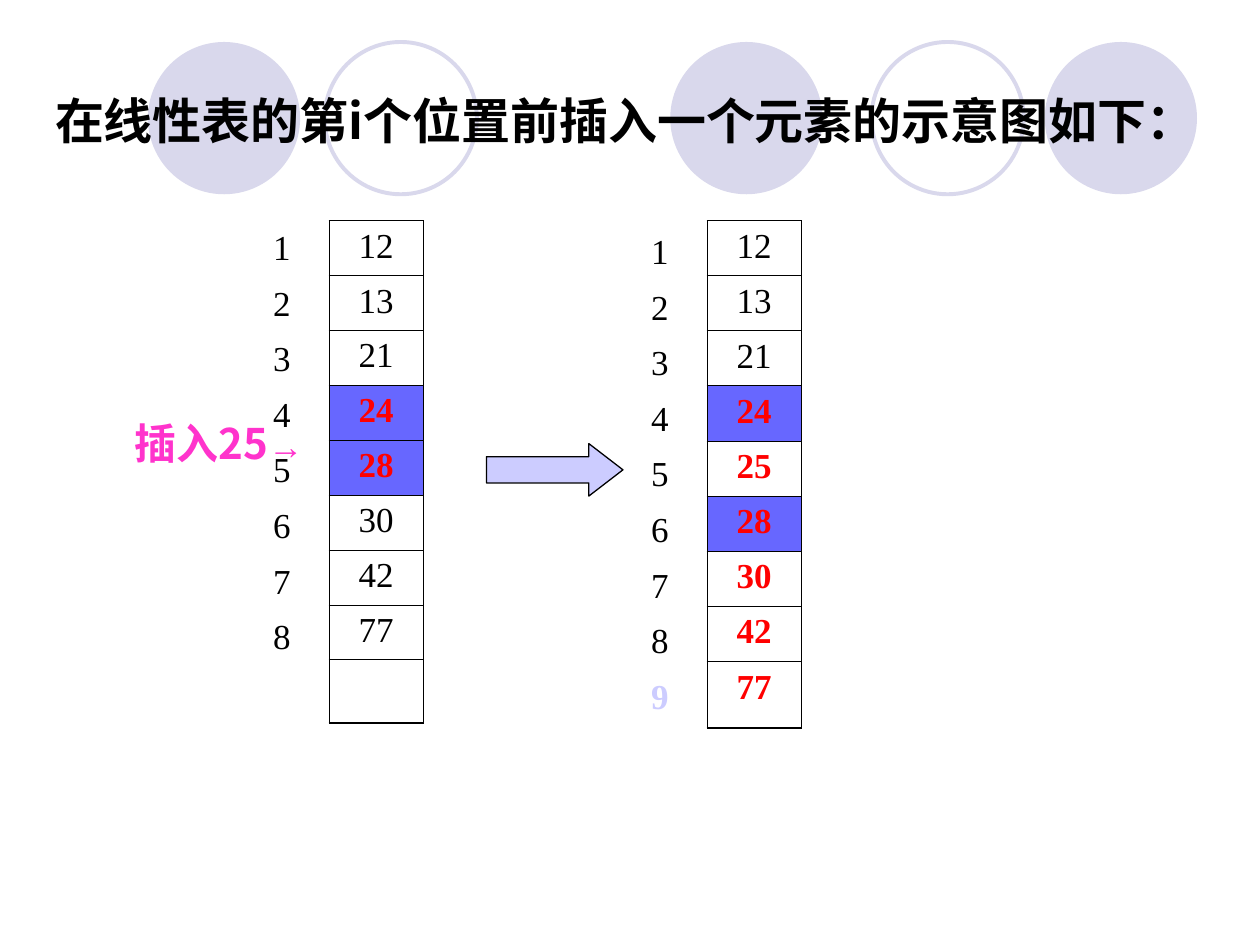
from lxml.etree import SubElement
from pptx import Presentation
from pptx.dml.color import RGBColor
from pptx.enum.shapes import MSO_SHAPE
from pptx.enum.text import MSO_AUTO_SIZE, PP_ALIGN
from pptx.oxml.ns import qn
from pptx.util import Pt

BLACK, WHITE, RED = "000000", "FFFFFF", "FF0000"
PINK, LILAC, BLUE, PALE = "FF33CC", "CCCCFF", "6767FF", "D9D8EC"
CJK, SERIF = "Noto Sans CJK SC", "Times New Roman"
NO_STYLE = "{2D5ABB26-0587-4C30-8999-92F81FD0307C}"


def color(value):
    return RGBColor.from_string(value)


def style_run(r, size, font, value, bold=False):
    r.font.size = Pt(size)
    r.font.name = font
    r.font.bold = bold
    r.font.color.rgb = color(value)
    SubElement(r.font._element, qn("a:ea"), typeface=font)


def add_shape(s, kind, x, y, w, h, fill, line, width):
    sp = s.shapes.add_shape(kind, Pt(x), Pt(y), Pt(w), Pt(h))
    sp.shadow.inherit = False
    if fill:
        sp.fill.solid()
        sp.fill.fore_color.rgb = color(fill)
    else:
        sp.fill.background()
    if line:
        sp.line.color.rgb = color(line)
        sp.line.width = Pt(width)
    else:
        sp.line.fill.background()
    return sp


def add_circles(s, y, size):
    for x, filled in ((383, True), (597, True), (84.5, True), (498, False), (185.5, False)):
        fill, line = (PALE, None) if filled else (None, PALE)
        add_shape(s, MSO_SHAPE.OVAL, x, y, size, size, fill, line, 2.25)


def add_label(s, x, y, w, h, parts, wrap, before=0):
    tf = s.shapes.add_textbox(Pt(x), Pt(y), Pt(w), Pt(h)).text_frame
    tf.word_wrap = wrap
    tf.auto_size = MSO_AUTO_SIZE.SHAPE_TO_FIT_TEXT
    p = tf.paragraphs[0]
    p.alignment = PP_ALIGN.CENTER
    p.space_before = Pt(before)
    for text, size, font, value in parts:
        r = p.add_run()
        r.text = text
        style_run(r, size, font, value, True)


def add_borders(cell, bottom):
    tcPr = cell._tc.get_or_add_tcPr()
    for side, width in (("L", 0.45), ("R", 0.45), ("T", 0.45), ("B", bottom)):
        ln = SubElement(tcPr, qn(f"a:ln{side}"), w=str(Pt(width)))
        SubElement(SubElement(ln, qn("a:solidFill")), qn("a:srgbClr"), val=BLACK)


def add_column(s, x, y, w, heights, values, accents, accent, fills=None):
    frame = s.shapes.add_table(len(values), 1, Pt(x), Pt(y), Pt(w), Pt(sum(heights)))
    table = frame.table
    table._tbl.tblPr.find(qn("a:tableStyleId")).text = NO_STYLE
    table.first_row = table.horz_banding = False
    table.columns[0].width = Pt(w)
    for i, (height, value) in enumerate(zip(heights, values)):
        table.rows[i].height = Pt(height)
        cell = table.cell(i, 0)
        if fills is None:
            cell.fill.background()
        else:
            add_borders(cell, 1.08 if i == len(values) - 1 else 0.45)
            cell.fill.solid()
            cell.fill.fore_color.rgb = color(fills.get(value, WHITE))
        cell.text = value
        p = cell.text_frame.paragraphs[0]
        p.alignment = PP_ALIGN.CENTER
        for r in p.runs:
            marked = value in accents
            style_run(r, 20, SERIF, accent if marked else BLACK, marked)


def add_list(s, x, y, index_y, row, last, values, indexes, accents):
    add_column(s, x, index_y, 30, [31.8] * 9, indexes, ["9"], LILAC)
    add_column(s, x + 42, y, 54, [row] * 8 + [last], values, accents, RED,
               {"24": BLUE, "28": BLUE})


def main():
    prs = Presentation()
    prs.slide_width, prs.slide_height = Pt(720), Pt(540)
    s = prs.slides.add_slide(prs.slide_layouts[6])
    add_circles(s, 24, 87)
    add_label(s, 13.5, 48, 687.5, 41,
              [("在线性表的第i个位置前插入一个元素的示意图如下：", 28, CJK, BLACK)], False)
    before = ["12", "13", "21", "24", "28", "30", "42", "77"]
    after = before[:4] + ["25"] + before[4:]
    indexes = [str(i) for i in range(1, 10)]
    add_list(s, 146, 126, 127.4, 31.4, 36, before + [""], indexes[:8] + [""], ["24", "28"])
    add_list(s, 362, 126, 129.6, 31.5, 38, after, indexes, after[3:])
    add_label(s, 68.5, 235, 113.5, 36,
              [("插入25", 24, CJK, PINK), ("→", 20, "Arial", PINK)], True, 12.5)
    arrow = add_shape(s, MSO_SHAPE.RIGHT_ARROW, 278, 253.5, 78, 30, LILAC, BLACK, 0.75)
    arrow.adjustments[1] = 0.65
    prs.save("out.pptx")


if __name__ == "__main__":
    main()
